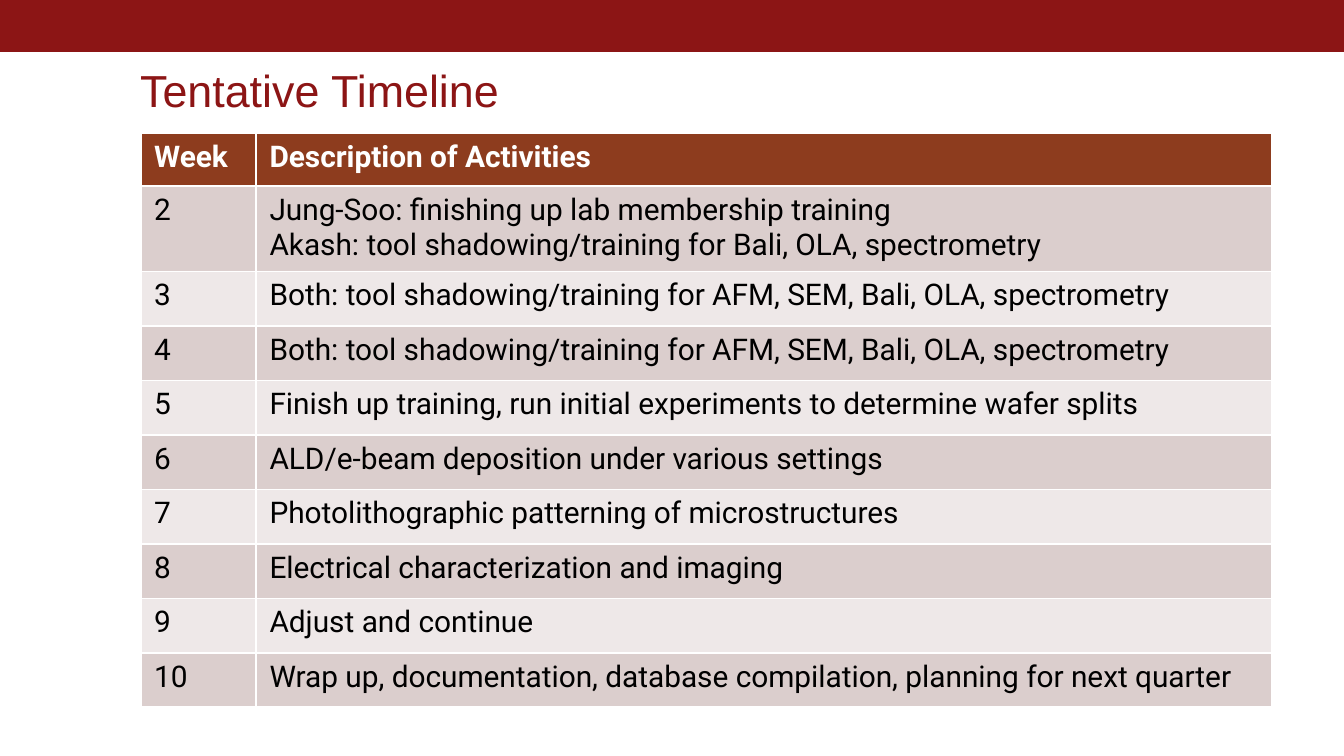
import enum

import pptx
import pptx.dml.color
import pptx.enum.shapes
import pptx.enum.text
import pptx.util

Cm = pptx.util.Cm
Pt = pptx.util.Pt
RGB = pptx.dml.color.RGBColor


class Theme(enum.Enum):
    CARDINAL = RGB(0x8C, 0x15, 0x15)
    HEADER = RGB(0x8D, 0x3C, 0x1E)
    BAND_DARK = RGB(0xDB, 0xCE, 0xCD)
    BAND_LIGHT = RGB(0xEE, 0xE8, 0xE8)
    WHITE = RGB(0xFF, 0xFF, 0xFF)
    BLACK = RGB(0, 0, 0)
    TITLE_SIZE = Pt(24)
    TABLE_SIZE = Pt(16)


def style(p, name, size, color, bold=False):
    for r in p.runs:
        r.font.name = name
        r.font.size = size.value
        r.font.bold = bold
        r.font.color.rgb = color.value


prs = pptx.Presentation()
prs.slide_width, prs.slide_height = Cm(25.4), Cm(14.29)
s = prs.slides.add_slide(prs.slide_layouts[6])

# Top band
sp = s.shapes.add_shape(pptx.enum.shapes.MSO_SHAPE.RECTANGLE,
                        Cm(-0.02), 0, Cm(25.43), Cm(0.97))
sp.shadow.inherit = False
sp.fill.solid()
sp.fill.fore_color.rgb = Theme.CARDINAL.value
sp.line.color.rgb = Theme.CARDINAL.value
sp.line.width = Pt(0.75)

# Title
sp = s.shapes.add_textbox(Cm(2.65), Cm(0.99), Cm(21.4), Cm(1.35))
tf = sp.text_frame
tf.word_wrap = True
tf.margin_left = 0
tf.vertical_anchor = pptx.enum.text.MSO_ANCHOR.BOTTOM
tf.text = "Tentative Timeline"
p = tf.paragraphs[0]
p.line_spacing = 0.85
style(p, "Arial", Theme.TITLE_SIZE, Theme.CARDINAL)

# Timeline: activities from week 2 onwards
FIRST_WEEK = 2
training = "Both: tool shadowing/training for AFM, SEM, Bali, OLA, spectrometry"
activities = [
    "Jung-Soo: finishing up lab membership training\n"
    "Akash: tool shadowing/training for Bali, OLA, spectrometry",
    training,
    training,
    "Finish up training, run initial experiments to determine wafer splits",
    "ALD/e-beam deposition under various settings",
    "Photolithographic patterning of microstructures",
    "Electrical characterization and imaging",
    "Adjust and continue",
    "Wrap up, documentation, database compilation, planning for next quarter",
]
rows = [("Week", "Description of Activities")]
rows += [(str(week), text) for week, text in enumerate(activities, FIRST_WEEK)]
heights = [Cm(1), Cm(1.59)] + [Cm(1.03)] * (len(rows) - 2)

# Table, with white rules from the default table style
table = s.shapes.add_table(len(rows), 2, Cm(2.66), Cm(2.52),
                           Cm(21.38), sum(heights)).table
table.columns[0].width = Cm(2.18)
table.columns[1].width = Cm(19.2)

for i, texts in enumerate(rows):
    table.rows[i].height = heights[i]
    header = i == 0
    band = Theme.BAND_DARK if i % 2 else Theme.BAND_LIGHT
    for j, text in enumerate(texts):
        cell = table.cell(i, j)
        cell.fill.solid()
        cell.fill.fore_color.rgb = (Theme.HEADER if header else band).value
        cell.text_frame.text = text
        for p in cell.text_frame.paragraphs:
            style(p, "Roboto", Theme.TABLE_SIZE,
                  Theme.WHITE if header else Theme.BLACK, bold=header)

prs.save("out.pptx")
